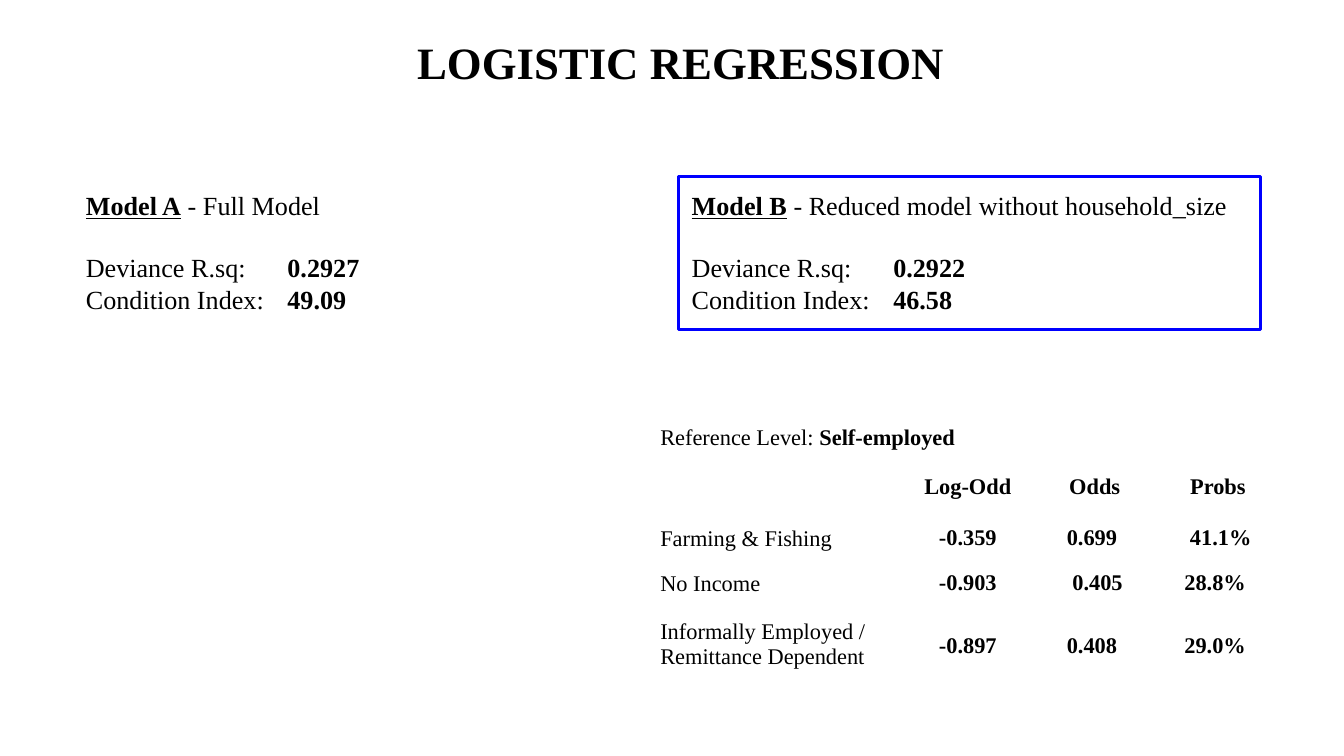
import dataclasses

import pptx
import pptx.dml.color
import pptx.enum.shapes
import pptx.enum.text
import pptx.util

Pt = pptx.util.Pt
RGBColor = pptx.dml.color.RGBColor
Align = pptx.enum.text.PP_ALIGN
Anchor = pptx.enum.text.MSO_ANCHOR


@dataclasses.dataclass(frozen=True)
class Theme:
    font: str = "Times New Roman"
    ink: RGBColor = RGBColor(0, 0, 0)
    paper: RGBColor = RGBColor(255, 255, 255)
    highlight: RGBColor = RGBColor(0, 0, 255)
    title_size: int = 24
    body_size: int = 14
    table_size: int = 12


THEME = Theme()


def add_run(paragraph, text, size, bold=False, underline=False):
    run = paragraph.add_run()
    run.text = text
    run.font.name = THEME.font
    run.font.size = Pt(size)
    run.font.bold = bold
    run.font.underline = underline
    run.font.color.rgb = THEME.ink


def prepare_frame(shape):
    frame = shape.text_frame
    frame.word_wrap = True
    frame.vertical_anchor = Anchor.TOP
    frame.margin_left = frame.margin_right = Pt(7.2)
    frame.margin_top = frame.margin_bottom = Pt(7.2)
    return frame


def add_title(slide, box, text):
    shape = slide.shapes.add_textbox(*map(Pt, box))
    paragraph = prepare_frame(shape).paragraphs[0]
    paragraph.alignment = Align.CENTER
    add_run(paragraph, text, THEME.title_size, bold=True)


def add_model(slide, box, name, description, measures, selected=False):
    if selected:
        rectangle = pptx.enum.shapes.MSO_SHAPE.RECTANGLE
        shape = slide.shapes.add_shape(rectangle, *map(Pt, box))
        shape.shadow.inherit = False
        shape.fill.background()
        shape.line.color.rgb = THEME.highlight
        shape.line.width = Pt(1.5)
    else:
        shape = slide.shapes.add_textbox(*map(Pt, box))
    frame = prepare_frame(shape)
    heading = frame.paragraphs[0]
    heading.alignment = Align.LEFT
    heading.space_after = Pt(16.5)
    add_run(heading, name, THEME.body_size, bold=True, underline=True)
    add_run(heading, f" - {description}", THEME.body_size)
    for label, value in measures:
        paragraph = frame.add_paragraph()
        paragraph.alignment = Align.LEFT
        add_run(paragraph, f"{label}: \t", THEME.body_size)
        add_run(paragraph, value, THEME.body_size, bold=True)


def style_cell(cell, anchor):
    cell.fill.solid()
    cell.fill.fore_color.rgb = THEME.paper
    cell.vertical_anchor = anchor
    cell.margin_left = cell.margin_right = cell.margin_top = Pt(0.75)
    cell.margin_bottom = Pt(7.2)
    return cell.text_frame.paragraphs[0]


def add_odds_table(slide, box, reference, rows, widths, heights):
    frame = slide.shapes.add_table(len(rows) + 1, len(widths), *map(Pt, box))
    table = frame.table
    table.first_row = table.horz_banding = False
    for column, width in zip(table.columns, widths):
        column.width = Pt(width)
    for row, height in zip(table.rows, heights):
        row.height = Pt(height)

    caption = table.cell(0, 0)
    caption.merge(table.cell(0, len(widths) - 1))
    paragraph = style_cell(caption, Anchor.BOTTOM)
    add_run(paragraph, "Reference Level: ", THEME.table_size)
    add_run(paragraph, reference, THEME.table_size, bold=True)

    for row_index, (label, *values) in enumerate(rows, start=1):
        label_anchor = Anchor.MIDDLE if row_index == len(rows) else Anchor.BOTTOM
        paragraph = style_cell(table.cell(row_index, 0), label_anchor)
        add_run(paragraph, label, THEME.table_size)
        for column_index, value in enumerate(values, start=1):
            paragraph = style_cell(table.cell(row_index, column_index), Anchor.MIDDLE)
            paragraph.alignment = Align.CENTER
            paragraph.line_spacing = 1.15
            add_run(paragraph, value, THEME.table_size, bold=True)


def main():
    presentation = pptx.Presentation()
    presentation.slide_width = Pt(720)
    presentation.slide_height = Pt(405)
    slide = presentation.slides.add_slide(presentation.slide_layouts[6])

    add_title(slide, (160.5, 11.5, 408, 44), "LOGISTIC REGRESSION")
    add_model(
        slide, (38.9, 94.4, 291.6, 82), "Model A", "Full Model",
        [("Deviance R.sq", "0.2927"), ("Condition Index", "49.09")],
    )
    add_model(
        slide, (363.5, 94.4, 311.8, 82), "Model B",
        "Reduced model without household_size",
        [("Deviance R.sq", "0.2922"), ("Condition Index", "46.58")],
        selected=True,
    )
    add_odds_table(
        slide, (353, 226, 332, 133), "Self-employed",
        [
            ("", "Log-Odd", "Odds", "Probs"),
            ("Farming & Fishing", "-0.359", "0.699 ", " 41.1%"),
            ("No Income", "-0.903", " 0.405", "28.8% "),
            ("Informally Employed / Remittance Dependent", "-0.897", "0.408 ", "29.0% "),
        ],
        widths=(131, 69, 67, 65),
        heights=(21, 23, 23, 23, 43),
    )
    presentation.save("out.pptx")


if __name__ == "__main__":
    main()
